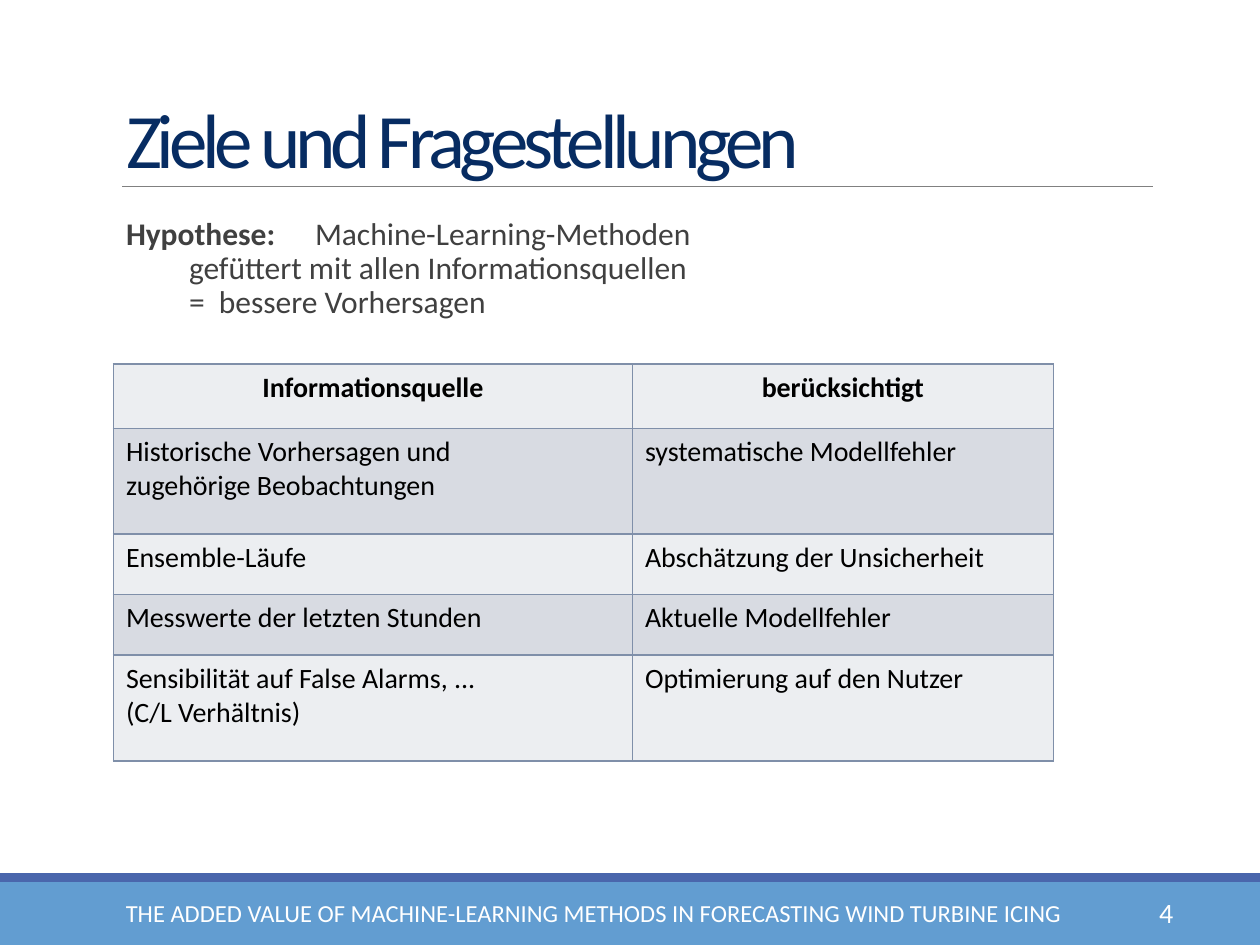
from dataclasses import dataclass

from lxml import etree
from pptx import Presentation
from pptx import util as u
from pptx.dml.color import RGBColor
from pptx.enum import shapes, text
from pptx.oxml import ns


@dataclass(frozen=True)
class Theme:
    font: str = "Calibri"
    title: str = "072C62"
    body: str = "404040"
    black: str = "000000"
    white: str = "FFFFFF"
    rule: str = "808080"
    footer: str = "629DD1"
    stripe: str = "4A66AC"
    border: str = "7F8FA9"
    bands: tuple = ("ECEEF1", "D8DBE2")
    title_size: int = 44
    body_size: int = 18
    cell_size: int = 16
    footer_size: int = 14
    number_size: int = 16


THEME = Theme()

HYPOTHESIS = (
    "Machine-Learning-Methoden ",
    "gefüttert mit allen Informationsquellen",
    "=  bessere Vorhersagen",
)
SOURCES = (
    ("Informationsquelle", "berücksichtigt"),
    ("Historische Vorhersagen und \vzugehörige Beobachtungen", "systematische Modellfehler"),
    ("Ensemble-Läufe", "Abschätzung der Unsicherheit"),
    ("Messwerte der letzten Stunden", "Aktuelle Modellfehler"),
    ("Sensibilität auf False Alarms, ...\v(C/L Verhältnis)", "Optimierung auf den Nutzer"),
)
COLUMN_WIDTHS = (4.12, 3.34)
ROW_HEIGHTS = (0.51, 0.84, 0.48, 0.48, 0.84)


def color(value):
    return RGBColor.from_string(value)


def add_xml(parent, tag, **attributes):
    return etree.SubElement(parent, ns.qn(tag), attributes)


def style(para, size, value, bold=None, align=text.PP_ALIGN.LEFT):
    para.alignment = align
    para.font.name = THEME.font
    para.font.size = u.Pt(size)
    para.font.color.rgb = color(value)
    para.font.bold = bold


def place(shape, left, top, width, height):
    shape.left, shape.top = u.Inches(left), u.Inches(top)
    shape.width, shape.height = u.Inches(width), u.Inches(height)


def add_bar(page, top, height, fill):
    bar = page.shapes.add_shape(
        shapes.MSO_SHAPE.RECTANGLE, 0, u.Inches(top), u.Inches(10), u.Inches(height))
    bar.shadow.inherit = False
    bar.fill.solid()
    bar.fill.fore_color.rgb = color(fill)
    bar.line.fill.background()


def add_rule(page, left, right, top):
    rule = page.shapes.add_connector(
        shapes.MSO_CONNECTOR.STRAIGHT,
        u.Inches(left), u.Inches(top), u.Inches(right), u.Inches(top))
    rule.line.color.rgb = color(THEME.rule)
    rule.line.width = u.Pt(0.5)
    add_xml(rule._element.spPr, "a:effectLst")


def add_footer_text(page, left, width, words, size, align):
    box = page.shapes.add_textbox(0, 0, 0, 0)
    place(box, left, 7.04, width, 0.4)
    frame = box.text_frame
    frame.word_wrap = True
    frame.vertical_anchor = text.MSO_ANCHOR.MIDDLE
    para = frame.paragraphs[0]
    para.text = words
    style(para, size, THEME.white, align=align)


def fill_title(title, words):
    place(title, 0.9, 0.31, 8.25, 1.2)
    frame = title.text_frame
    frame.auto_size = text.MSO_AUTO_SIZE.NONE
    frame.vertical_anchor = text.MSO_ANCHOR.BOTTOM
    para = frame.paragraphs[0]
    para.text = words
    para.line_spacing = 0.85
    style(para, THEME.title_size, THEME.title)
    para.runs[0].font._element.set("spc", "-300")


def fill_hypothesis(body):
    place(body, 0.9, 1.68, 8.25, 5.21)
    frame = body.text_frame
    frame.auto_size = text.MSO_AUTO_SIZE.NONE
    frame.margin_left = frame.margin_right = 0
    para = frame.paragraphs[0]

    # No bullet, and one tab stop that aligns the three lines
    props = para._p.get_or_add_pPr()
    props.set("marL", str(u.Inches(0.1)))
    props.set("indent", "0")
    add_xml(props, "a:buNone")
    tabs = add_xml(props, "a:tabLst")
    add_xml(tabs, "a:tab", pos=str(u.Inches(1.64)), algn="l")
    para.line_spacing = 0.9
    para.space_before = u.Pt(0)
    style(para, THEME.body_size, THEME.body)

    label = para.add_run()
    label.text = "Hypothese: "
    label.font.bold = True
    for number, line in enumerate(HYPOTHESIS):
        if number:
            para.add_line_break()
        para.add_run().text = "\t" + line


def add_borders(cell):
    props = cell._tc.get_or_add_tcPr()
    for position, side in enumerate(("a:lnL", "a:lnR", "a:lnT", "a:lnB")):
        line = etree.Element(ns.qn(side), w=str(u.Pt(1)))
        fill = add_xml(line, "a:solidFill")
        add_xml(fill, "a:srgbClr", val=THEME.border)
        props.insert(position, line)


def add_source_table(page):
    table = page.shapes.add_table(
        len(SOURCES), len(COLUMN_WIDTHS), u.Inches(0.9), u.Inches(2.89),
        u.Inches(sum(COLUMN_WIDTHS)), u.Inches(sum(ROW_HEIGHTS))).table
    table.first_row = table.horz_banding = False
    for column, width in zip(table.columns, COLUMN_WIDTHS):
        column.width = u.Inches(width)
    for number, (row, height) in enumerate(zip(table.rows, ROW_HEIGHTS)):
        row.height = u.Inches(height)
        header = number == 0
        align = text.PP_ALIGN.CENTER if header else text.PP_ALIGN.LEFT
        for cell, words in zip(row.cells, SOURCES[number]):
            cell.fill.solid()
            cell.fill.fore_color.rgb = color(THEME.bands[number % 2])
            add_borders(cell)
            para = cell.text_frame.paragraphs[0]
            para.text = words
            style(para, THEME.cell_size, THEME.black, header, align)


def main():
    deck = Presentation()
    deck.slide_width, deck.slide_height = u.Inches(10), u.Inches(7.5)
    page = deck.slides.add_slide(deck.slide_layouts[1])

    # Title and hypothesis
    fill_title(page.shapes.title, "Ziele und Fragestellungen")
    add_rule(page, 0.97, 9.15, 1.48)
    fill_hypothesis(page.placeholders[1])

    # Information sources
    add_source_table(page)

    # Footer
    add_bar(page, 7, 0.5, THEME.footer)
    add_bar(page, 6.93, 0.07, THEME.stripe)
    add_footer_text(
        page, 0.9, 7.82,
        "THE ADDED VALUE OF MACHINE-LEARNING METHODS IN FORECASTING WIND TURBINE ICING",
        THEME.footer_size, text.PP_ALIGN.LEFT)
    add_footer_text(page, 8.33, 1.08, "4", THEME.number_size, text.PP_ALIGN.RIGHT)

    deck.save("out.pptx")


if __name__ == "__main__":
    main()
